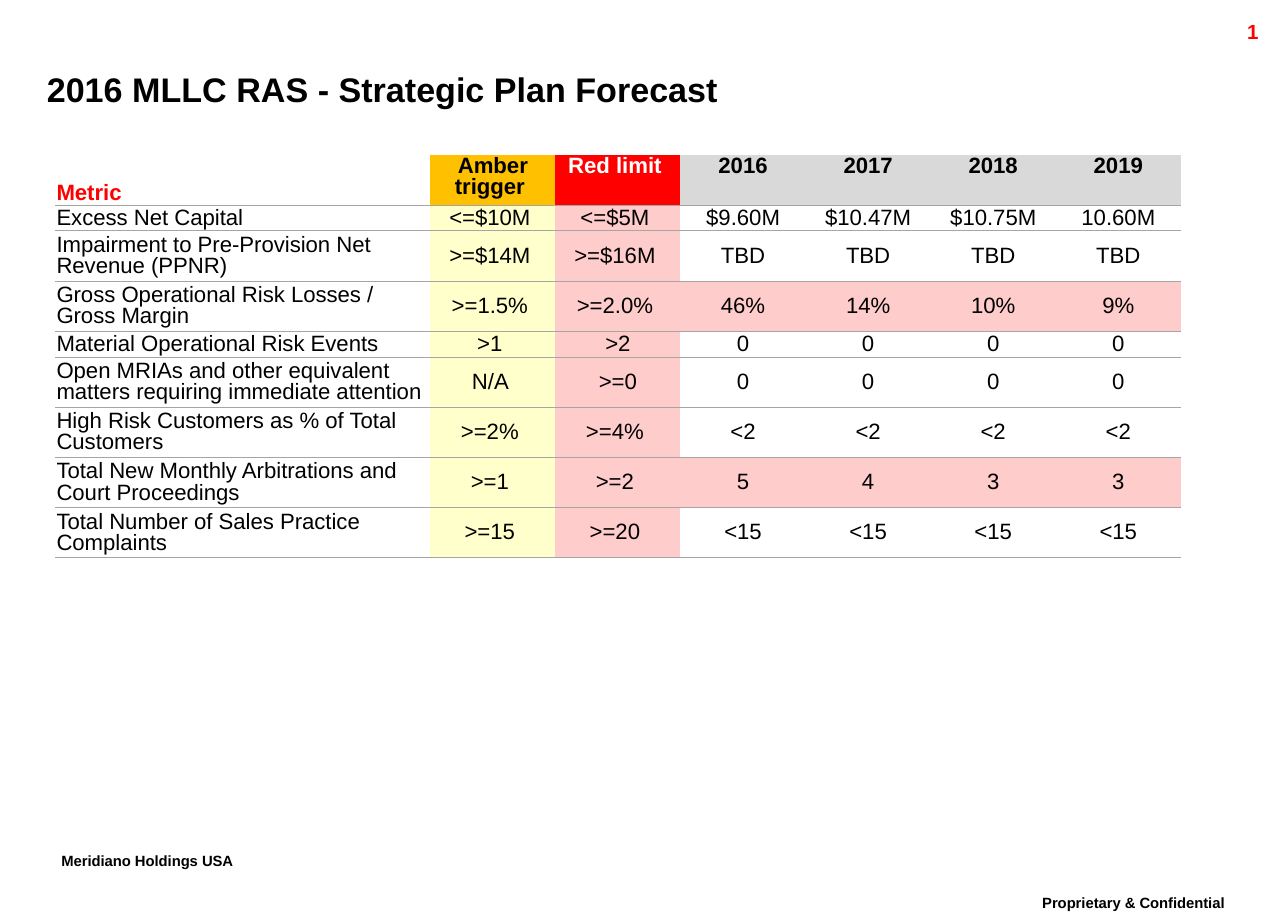
"""Build the risk appetite forecast slide with its metric table."""
from lxml import etree
from pptx import Presentation
from pptx.dml.color import RGBColor
from pptx.enum.text import MSO_ANCHOR, MSO_AUTO_SIZE, PP_ALIGN
from pptx.oxml.ns import qn
from pptx.util import Cm, Pt

LEFT, CENTER, RIGHT = PP_ALIGN.LEFT, PP_ALIGN.CENTER, PP_ALIGN.RIGHT
TOP, MIDDLE, BOTTOM = MSO_ANCHOR.TOP, MSO_ANCHOR.MIDDLE, MSO_ANCHOR.BOTTOM
GROW = MSO_AUTO_SIZE.SHAPE_TO_FIT_TEXT
PLAIN_TABLE = "{2D5ABB26-0587-4C30-8999-92F81FD0307C}"

BLACK, WHITE, RED = "000000", "FFFFFF", "FF0000"
AMBER, GREY, RULE = "FFC000", "D9D9D9", "A5A5A5"
PALE_AMBER, PALE_RED = "FFFFCC", "FFCCCC"

HEADER = ["Metric", "Amber trigger ", "Red limit ", "2016", "2017", "2018", "2019"]
HEADER_FILLS = [None, AMBER, RED] + [GREY] * 4
HEADER_COLORS = [RED, BLACK, WHITE] + [BLACK] * 4
METRICS = [
    ["Excess Net Capital", "<=$10M ", "<=$5M ", "$9.60M", "$10.47M", "$10.75M", "10.60M"],
    ["Impairment to Pre-Provision Net Revenue (PPNR)", ">=$14M ", ">=$16M "] + ["TBD"] * 4,
    ["Gross Operational Risk Losses / Gross Margin", ">=1.5% ", ">=2.0% ",
     "46%", "14%", "10%", "9%"],
    ["Material Operational Risk Events", ">1 ", ">2"] + ["0"] * 4,
    ["Open MRIAs and other equivalent matters requiring immediate attention",
     "N/A ", ">=0"] + ["0"] * 4,
    ["High Risk Customers as % of Total Customers", ">=2% ", ">=4% "] + ["<2"] * 4,
    ["Total New Monthly Arbitrations and Court Proceedings", ">=1 ", ">=2 ",
     "5", "4", "3", "3"],
    ["Total Number of Sales Practice Complaints", ">=15 ", ">=20 "] + ["<15"] * 4,
]
BREACHED = {3, 7}
ONE_LINE = {1, 4}


def rgb(value):
    """Turn a hex string into a colour."""
    return RGBColor.from_string(value)


def write(frame, text, size=13, color=BLACK, bold=False, align=LEFT, spacing=None, baseline=None):
    """Put one formatted paragraph into a text frame."""
    paragraph = frame.paragraphs[0]
    paragraph.alignment = align
    paragraph.line_spacing = spacing
    run = paragraph.add_run()
    run.text = text
    run.font.name = "Arial"
    run.font.size = Pt(size)
    run.font.bold = bold
    run.font.color.rgb = rgb(color)
    if baseline:
        run._r.get_or_add_rPr().set("baseline", str(baseline * 1000))


def rule(cell, side):
    """Draw a thin grey line on one side of a cell."""
    line = etree.SubElement(cell._tc.get_or_add_tcPr(), qn(f"a:{side}"), w=str(Pt(0.5)))
    fill = etree.SubElement(line, qn("a:solidFill"))
    etree.SubElement(fill, qn("a:srgbClr"), val=RULE)


class ForecastSlide:
    """Hold the slide and its shared style."""

    tight = 0.86

    def __init__(self, deck):
        """Add a blank slide to the deck."""
        self.slide = deck.slides.add_slide(deck.slide_layouts[6])

    def label(self, text, left, top, width, height, wrap=True, grow=False,
              inset=None, anchor=TOP, **style):
        """Add a text box."""
        box = self.slide.shapes.add_textbox(Cm(left), Cm(top), Cm(width), Cm(height))
        frame = box.text_frame
        frame.word_wrap = wrap
        frame.vertical_anchor = anchor
        if grow:
            frame.auto_size = GROW
        if inset is not None:
            frame.margin_left = frame.margin_right = Cm(inset)
            frame.margin_top = frame.margin_bottom = Cm(inset)
        write(frame, text, bold=True, **style)

    def footer(self, text, left, top, width, wrap=True):
        """Add a raised bold footer line."""
        self.label(text, left, top, width, 0.89, wrap=wrap, grow=True, size=15,
                   align=CENTER, spacing=self.tight, baseline=30)

    def cell(self, cell, text, fill, anchor, header, **style):
        """Fill and rule one table cell."""
        cell.margin_left = cell.margin_right = cell.margin_top = Cm(0.03)
        cell.margin_bottom = 0
        cell.vertical_anchor = anchor
        if not header:
            rule(cell, "lnT")
        rule(cell, "lnB")
        if fill:
            cell.fill.solid()
            cell.fill.fore_color.rgb = rgb(fill)
        else:
            cell.fill.background()
        write(cell.text_frame, text, bold=header, spacing=self.tight, **style)

    def metric_table(self, left, top):
        """Add the table of metrics, limits and forecasts."""
        rows = [HEADER] + METRICS
        widths = [7.77] + [2.59] * 6
        heights = [0.53 if r in ONE_LINE else 1.04 for r in range(len(rows))]
        frame = self.slide.shapes.add_table(len(rows), len(widths), Cm(left), Cm(top),
                                            Cm(sum(widths)), Cm(sum(heights)))
        table = frame.table
        table.first_row = table.horz_banding = False
        table._tbl.tblPr.find(qn("a:tableStyleId")).text = PLAIN_TABLE
        for column, width in zip(table.columns, widths):
            column.width = Cm(width)
        for r, (texts, height) in enumerate(zip(rows, heights)):
            table.rows[r].height = Cm(height)
            forecast = PALE_RED if r in BREACHED else None
            fills = [None, PALE_AMBER, PALE_RED] + [forecast] * 4 if r else HEADER_FILLS
            for c, text in enumerate(texts):
                header_anchor = TOP if c else BOTTOM
                self.cell(table.cell(r, c), text, fills[c],
                          MIDDLE if r else header_anchor, header=r == 0,
                          color=BLACK if r else HEADER_COLORS[c],
                          align=CENTER if c else LEFT)


def main():
    """Build and save the deck."""
    deck = Presentation()
    deck.slide_width, deck.slide_height = Cm(26.67), Cm(19.05)
    forecast = ForecastSlide(deck)
    forecast.footer("Proprietary & Confidential", 20.7, 18.42, 5.54)
    forecast.footer("Meridiano Holdings USA ", 0.66, 17.55, 4.85, wrap=False)
    forecast.label("1", 23.77, 0.28, 2.54, 0.61, size=12, color=RED, align=RIGHT)
    forecast.label("2016 MLLC RAS - Strategic Plan Forecast", 0.97, 1.24, 24.08, 1.22,
                   inset=0, anchor=MIDDLE, size=20)
    forecast.metric_table(1.14, 3.21)
    deck.save("out.pptx")


if __name__ == "__main__":
    main()
